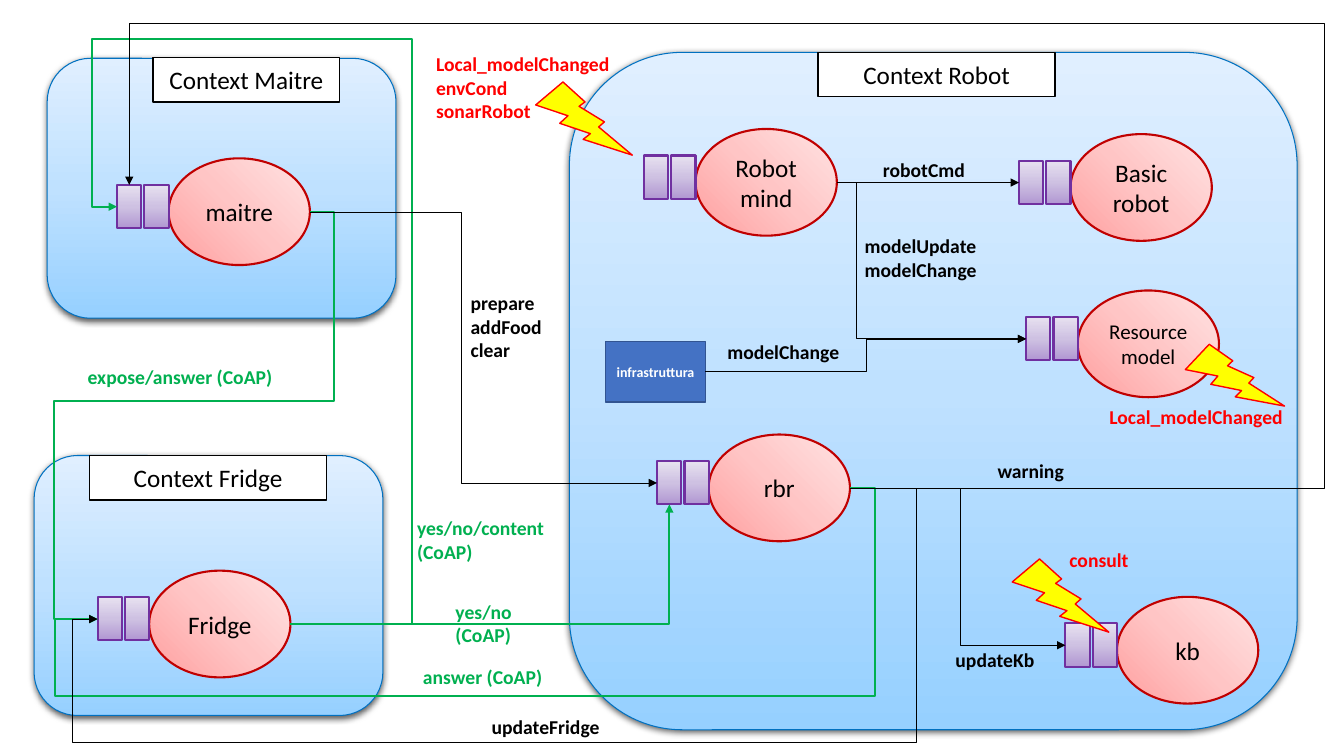
"""Builds the slide of the three contexts, their actors and their messages."""
from lxml.etree import SubElement
from pptx import Presentation
from pptx.dml.color import RGBColor
from pptx.enum.shapes import MSO_CONNECTOR, MSO_SHAPE
from pptx.enum.text import MSO_ANCHOR, MSO_AUTO_SIZE, PP_ALIGN
from pptx.oxml import parse_xml
from pptx.oxml.ns import nsdecls, qn
from pptx.util import Cm, Pt

HUES = {
    "black": "000000", "white": "FFFFFF", "green": "00B050", "red": "FF0000",
    "yellow": "FFFF00", "rim": "0070C0", "wine": "C00000", "purple": "7030A0",
    "blue": "4472C4", "navy": "325491",
}
BLENDS = {
    "sky": ("96D0FF", "BFE1FF", "E0EFFF"),
    "rose": ("FFA0A0", "FFC5C5", "FFE3E3"),
    "lilac": ("B197D2", "CEC1E2", "E7E1F0"),
}
UPWARD = '<a:lin ang="16200000" scaled="0"/>'
CORNER = '<a:path path="circle"><a:fillToRect t="100000" r="100000"/></a:path>'


def tint(name):
    return RGBColor.from_string(HUES[name])


def blend(shape, name, course):
    stops = "".join(
        f'<a:gs pos="{spot}"><a:srgbClr val="{hue}"/></a:gs>'
        for spot, hue in zip((0, 50000, 100000), BLENDS[name]))
    shape.fill.background()
    props = shape._element.spPr
    props.replace(props.find(qn("a:noFill")), parse_xml(
        f'<a:gradFill rotWithShape="1" {nsdecls("a")}>'
        f'<a:gsLst>{stops}</a:gsLst>{course}</a:gradFill>'))


def form(shapes, kind, place, fill, edge, width, course=UPWARD):
    shape = shapes.add_shape(kind, *map(Cm, place))
    shape.shadow.inherit = False
    if fill in BLENDS:
        blend(shape, fill, course)
    else:
        shape.fill.solid()
        shape.fill.fore_color.rgb = tint(fill)
    shape.line.color.rgb = tint(edge)
    shape.line.width = Pt(width)
    return shape


def write(shape, text, size, hue="black", bold=False, align=PP_ALIGN.CENTER):
    frame = shape.text_frame
    frame.word_wrap = True
    frame.text = text
    for line in frame.paragraphs:
        line.alignment = align
        line.font.name = "Calibri"
        line.font.size = Pt(size)
        line.font.bold = bold
        line.font.color.rgb = tint(hue)


def shade(shape):
    effects = shape._element.spPr.find(qn("a:effectLst"))
    effects.append(parse_xml(
        f'<a:outerShdw {nsdecls("a")} blurRad="57150" dist="19050" '
        'dir="5400000" algn="ctr" rotWithShape="0"><a:srgbClr val="000000">'
        '<a:alpha val="63000"/></a:srgbClr></a:outerShdw>'))


def context(shapes, place, text, head):
    panel = form(shapes, MSO_SHAPE.ROUNDED_RECTANGLE, place, "sky", "rim", 0.75)
    shade(panel)
    plate = form(shapes, MSO_SHAPE.RECTANGLE, (*head, 1.12), "white", "black", 1)
    plate.text_frame.vertical_anchor = MSO_ANCHOR.MIDDLE
    write(plate, text, 18)


def actor(shapes, left, top, text, size=18):
    group = shapes.add_group_shape().shapes
    body = form(group, MSO_SHAPE.OVAL, (left + 1.3, top, 3.56, 2.69),
                "rose", "wine", 1.5, CORNER)
    body.text_frame.vertical_anchor = MSO_ANCHOR.MIDDLE
    write(body, text, size)
    for step in (0.69, 0):
        form(group, MSO_SHAPE.RECTANGLE, (left + step, top + 0.67, 0.61, 1.09),
             "lilac", "purple", 1.5)
    return {
        "in": (left, top + 1.22), "out": (left + 4.86, top + 1.35),
        "top": (left + 0.31, top + 0.67), "base": (left + 0.31, top + 1.76),
    }


def wire(shapes, start, end, stops=(), hue="black"):
    flat = abs(start[1] - end[1]) < 0.02
    kind = MSO_CONNECTOR.STRAIGHT if flat else MSO_CONNECTOR.ELBOW
    link = shapes.add_connector(kind, *map(Cm, (*start, *end)))
    link.line.color.rgb = tint(hue)
    link.line.width = Pt(1.5 if hue == "green" else 0.5)
    SubElement(link.line._get_or_add_ln(), qn("a:tailEnd"), type="triangle")
    props = link._element.spPr
    SubElement(props, qn("a:effectLst"))
    if flat:
        return
    shape = props.find(qn("a:prstGeom"))
    shape.set("prst", f"bentConnector{len(stops) + 2}")
    guides = shape.get_or_add_avLst()
    for count, stop in enumerate(stops):
        axis = count % 2
        share = (stop - start[axis]) / (end[axis] - start[axis])
        SubElement(guides, qn("a:gd"), name=f"adj{count + 1}",
                   fmla=f"val {round(share * 100000)}")


def label(shapes, left, top, width, text, hue="black"):
    height = 0.26 + 0.6 * len(text.split("\n"))
    box = shapes.add_textbox(*map(Cm, (left, top, width, height)))
    write(box, text, 14, hue, True, PP_ALIGN.LEFT)
    box.text_frame.auto_size = MSO_AUTO_SIZE.SHAPE_TO_FIT_TEXT


def bolt(shapes, place, turn):
    flash = form(shapes, MSO_SHAPE.LIGHTNING_BOLT, place, "yellow", "red", 1)
    flash.rotation = turn


def main():
    deck = Presentation()
    deck.slide_width, deck.slide_height = Cm(33.87), Cm(19.05)
    shapes = deck.slides.add_slide(deck.slide_layouts[6]).shapes

    context(shapes, (1.19, 1.47, 8.79, 6.55), "Context Maitre", (3.86, 1.45, 4.7))
    context(shapes, (14.35, 1.32, 18.34, 17.07), "Context Robot", (20.62, 1.32, 5.97))
    context(shapes, (0.86, 11.48, 8.79, 6.55), "Context Fridge", (2.26, 11.48, 5.97))

    maitre = actor(shapes, 2.95, 3.99, "maitre")
    basic = actor(shapes, 25.68, 3.38, "Basic robot")
    fridge = actor(shapes, 2.46, 14.38, "Fridge")
    model = actor(shapes, 25.86, 7.32, "Resource model", 15)
    store = actor(shapes, 26.85, 15.04, "kb")
    rbr = actor(shapes, 16.56, 10.95, "rbr")
    mind = actor(shapes, 16.23, 3.25, "Robot mind")
    infra = form(shapes, MSO_SHAPE.RECTANGLE, (15.26, 8.61, 2.52, 1.52),
                 "blue", "navy", 1)
    infra.text_frame.vertical_anchor = MSO_ANCHOR.MIDDLE
    write(infra, "infrastruttura", 10, "white", True)

    for start, end, stops, hue in (
        (maitre["out"], fridge["in"], (8.43, 10.11, 1.35), "green"),
        (rbr["out"], fridge["in"], (22.07, 17.55, 1.4), "green"),
        (fridge["out"], maitre["in"], (10.39, 0.99, 2.31), "green"),
        (fridge["out"], rbr["base"], (), "green"),
        (rbr["out"], fridge["in"], (23.09, 18.72, 1.83), "black"),
        (mind["out"], basic["in"], (), "black"),
        ((17.78, 9.37), model["in"], (21.84,), "black"),
        (mind["out"], model["in"], (21.59,), "black"),
        (rbr["out"], store["in"], (24.2,), "black"),
        (maitre["out"], rbr["in"], (11.63,), "black"),
        (rbr["out"], maitre["top"], (33.38, 0.58), "black"),
    ):
        wire(shapes, start, end, stops, hue)

    bolt(shapes, (30.05, 8.53, 2.01, 2.13), 339.2)
    bolt(shapes, (13.64, 1.98, 2.06, 2.21), 346.1)
    bolt(shapes, (25.65, 14, 2.06, 2.21), 346.1)

    for left, top, width, text, hue in (
        (11.23, 14.99, 2, "yes/no\n(CoAP)", "green"),
        (1.96, 9.07, 5.61, "expose/answer (CoAP)", "green"),
        (12.14, 17.88, 4.95, "updateFridge", "black"),
        (10.41, 16.64, 3.94, "answer (CoAP)", "green"),
        (10.26, 12.88, 4.14, "yes/no/content\n(CoAP)", "green"),
        (22, 3.86, 4.95, "robotCmd", "black"),
        (21.54, 5.77, 4.95, "modelUpdate\nmodelChange", "black"),
        (27.71, 10.08, 4.95, "Local_modelChanged", "red"),
        (26.7, 13.69, 2.13, "consult", "red"),
        (23.83, 16.21, 2.62, "updateKb", "black"),
        (11.61, 7.21, 2.92, "prepare\naddFood\nclear", "black"),
        (24.89, 11.43, 2.92, "warning", "black"),
        (10.74, 1.19, 4.95, "Local_modelChanged\nenvCond\nsonarRobot", "red"),
        (18.08, 8.43, 4.95, "modelChange", "black"),
    ):
        label(shapes, left, top, width, text, hue)

    deck.save("out.pptx")


main()
